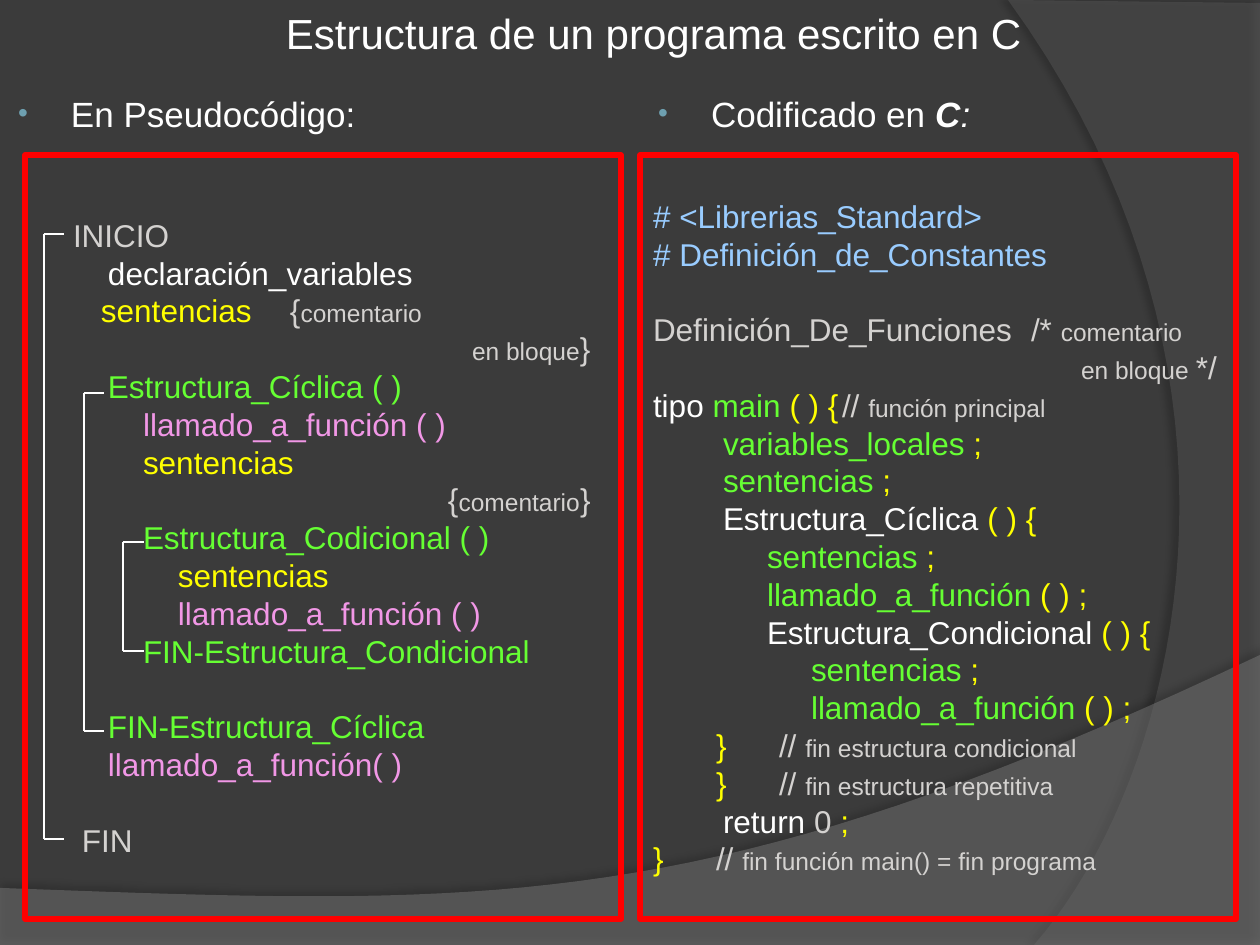
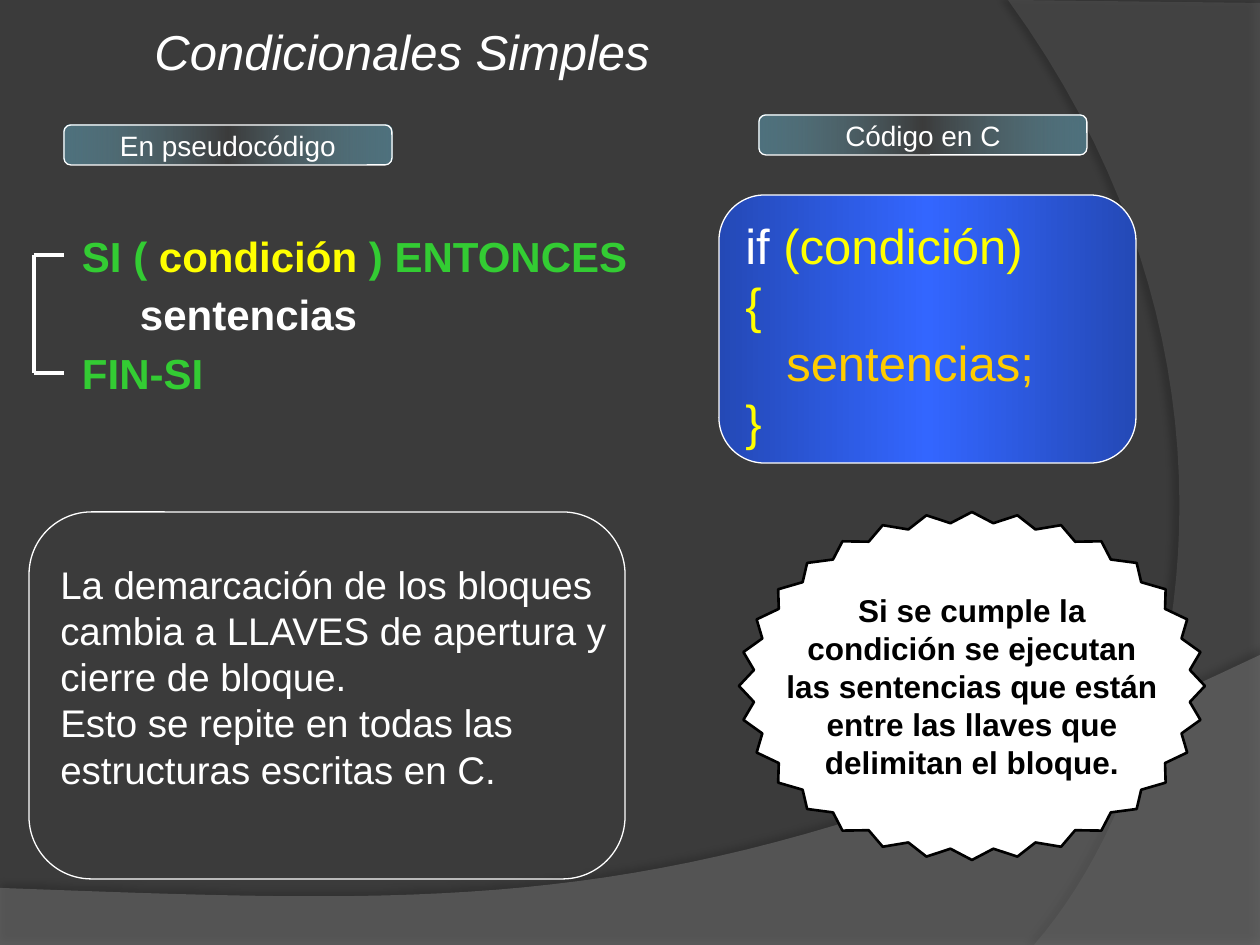
from lxml.etree import SubElement
from pptx import Presentation
from pptx.dml.color import RGBColor
from pptx.enum.shapes import MSO_CONNECTOR, MSO_SHAPE
from pptx.enum.text import MSO_ANCHOR, MSO_AUTO_SIZE, PP_ALIGN
from pptx.oxml.ns import qn
from pptx.util import Emu, Pt

LEFT, CENTER = PP_ALIGN.LEFT, PP_ALIGN.CENTER
TOP, MIDDLE = MSO_ANCHOR.TOP, MSO_ANCHOR.MIDDLE
NO_AUTOFIT = MSO_AUTO_SIZE.NONE
STRAIGHT = MSO_CONNECTOR.STRAIGHT
RECTANGLE, ROUNDED, STAR = (
    MSO_SHAPE.RECTANGLE, MSO_SHAPE.ROUNDED_RECTANGLE, MSO_SHAPE.STAR_32_POINT)

EMU_PER_PIXEL = 914400 / 126
WIDTH, HEIGHT = 1260, 945
FONT = "Arial"
WHITE, BLACK, BACKGROUND = "FFFFFF", "000000", "3B3B3B"
GREY, YELLOW, GREEN, PINK = "D4D2D0", "FFFF00", "66FF33", "F197E6"
SKY, RED, ORANGE, KEYWORD, ACCENT = "99CCFF", "FF0000", "FFCC00", "33CC33", "6EA0B0"
SMALL = {"size": Pt(14)}
STEP = 35  # indent of one pseudocode level
SPACING = 1.2  # line pitch relative to the font size
MARGINS = (13, 6, 13, 6)


def px(pixels):
    """Turn pixels into EMU."""
    return Emu(round(pixels * EMU_PER_PIXEL))


def color(value):
    """Turn a hex string into a colour."""
    return RGBColor.from_string(value)


def apply(target, values):
    """Set each attribute of a dict on the target."""
    for name, value in values.items():
        setattr(target, name, value)


def add_color(parent, value, alpha=100):
    """Append an RGB colour element with an opacity in percent."""
    element = SubElement(parent, qn("a:srgbClr"), val=value)
    if alpha < 100:
        SubElement(element, qn("a:alpha"), val=str(alpha * 1000))


def line(*runs, x=0, comment=None, before=0):
    """Describe a text line: runs at x, an optional (x, runs) comment, space before."""
    columns = [(x, runs)] + ([comment] if comment else [])
    return columns, before


def note(x, opening, text, closing=""):
    """Describe a comment column with large marks around small words."""
    runs = [(opening, GREY), (text, GREY, SMALL), (closing, GREY)]
    return x, [run for run in runs if run[0]]


def set_bullet(properties, bullet):
    """Show a small accent bullet, or none."""
    if not bullet:
        SubElement(properties, qn("a:buNone"))
        return
    add_color(SubElement(properties, qn("a:buClr")), ACCENT)
    SubElement(properties, qn("a:buSzPct"), val="80000")
    SubElement(properties, qn("a:buFont"), typeface=FONT)
    SubElement(properties, qn("a:buChar"), char="•")


def write(shape, lines, size, align=LEFT, anchor=MIDDLE, wrap=False,
          margins=MARGINS, hanging=0, bullet=False, font=None):
    """Fill a shape with lines; further columns are set with tab stops."""
    frame = shape.text_frame
    apply(frame, {"auto_size": NO_AUTOFIT, "word_wrap": wrap, "vertical_anchor": anchor})
    sides = ("margin_left", "margin_top", "margin_right", "margin_bottom")
    apply(frame, {side: px(value) for side, value in zip(sides, margins)})
    for index, (columns, before) in enumerate(lines):
        paragraph = frame.paragraphs[0] if index == 0 else frame.add_paragraph()
        apply(paragraph, {"alignment": align, "line_spacing": Pt(size * SPACING),
                          "space_before": Pt(before), "space_after": Pt(0)})
        properties = paragraph._p.get_or_add_pPr()
        tabbed = len(columns) > 1
        properties.set("marL", str(0 if tabbed else px(columns[0][0])))
        properties.set("indent", str(px(-hanging)))
        set_bullet(properties, bullet)
        if tabbed:
            stops = SubElement(properties, qn("a:tabLst"))
        for number, (x, runs) in enumerate(columns):
            if tabbed and x:
                SubElement(stops, qn("a:tab"), pos=str(px(x)), algn="l")
            for position, (text, run_color, *extra) in enumerate(runs):
                run = paragraph.add_run()
                starts_column = tabbed and x and position == 0
                run.text = "\t" + text if starts_column else text
                values = {"name": FONT, "size": Pt(size), "bold": False, "italic": False}
                for more in [font or {}, *extra]:
                    values.update(more)
                apply(run.font, values)
                run.font.color.rgb = color(run_color)


def place(shape, left, top, width, height):
    """Move and size a placeholder."""
    apply(shape, {"left": px(left), "top": px(top),
                  "width": px(width), "height": px(height)})
    return shape


def add_box(slide, kind, box, line_color=WHITE, weight=0.75, fill=None, adjustment=None):
    """Add an outlined preset shape without shadow."""
    shape = slide.shapes.add_shape(kind, *map(px, box))
    shape.shadow.inherit = False
    if fill:
        shape.fill.solid()
        shape.fill.fore_color.rgb = color(fill)
    else:
        shape.fill.background()
    shape.line.color.rgb = color(line_color)
    shape.line.width = Pt(weight)
    if adjustment:
        shape.adjustments[0] = adjustment
    return shape


def add_gradient(shape, edge, middle, middle_alpha=100):
    """Fill a shape from edge colour to middle colour and back."""
    shape.fill.gradient()
    shape.fill.gradient_angle = 0
    stops = shape.element.find(".//" + qn("a:gsLst"))
    stops.clear()
    for percent, value, alpha in ((0, edge, 100), (50, middle, middle_alpha), (100, edge, 100)):
        add_color(SubElement(stops, qn("a:gs"), pos=str(percent * 1000)), value, alpha)


def add_bracket(slide, left, right, top, bottom, weight=0.75):
    """Draw a square bracket that opens to the right."""
    for ends in ((left, top, left, bottom), (left, top, right, top),
                 (left, bottom, right, bottom)):
        connector = slide.shapes.add_connector(STRAIGHT, *map(px, ends))
        connector.line.color.rgb = color(WHITE)
        connector.line.width = Pt(weight)
        SubElement(connector.element.find(qn("p:spPr")), qn("a:effectLst"))


def curve(start, first, second, end, steps=40):
    """Return points along a cubic curve."""
    points = []
    for step in range(steps + 1):
        t = step / steps
        weights = ((1 - t) ** 3, 3 * t * (1 - t) ** 2, 3 * t * t * (1 - t), t ** 3)
        points.append(tuple(sum(w * p[axis] for w, p in zip(weights, (start, first, second, end)))
                            for axis in (0, 1)))
    return points


def add_band(presentation, slide, points, fill, alpha, shadow_alpha, distance, angle):
    """Build a translucent band and move it to the master, behind its placeholders."""
    points = [(px(x), px(y)) for x, y in points]
    builder = slide.shapes.build_freeform(*points[0], scale=1.0)
    builder.add_line_segments(points[1:], close=True)
    band = builder.convert_to_shape()
    band.fill.solid()
    band.fill.fore_color.rgb = color(fill)
    solid = band.element.find(".//" + qn("a:solidFill"))
    solid.clear()
    add_color(solid, fill, alpha)
    band.line.fill.background()
    band.shadow.inherit = False
    effects = band.element.find(".//" + qn("a:effectLst"))
    shadow = SubElement(effects, qn("a:outerShdw"), blurRad=str(Pt(4)),
                        dist=str(Pt(distance)), dir=str(angle * 60000))
    add_color(shadow, BLACK, shadow_alpha)
    tree = presentation.slide_master.shapes.element
    tree.insert(tree.index(tree.find(qn("p:sp"))), band.element)


def add_backdrop(presentation, slide):
    """Give the master its background and two bands."""
    background = presentation.slide_master.background.fill
    background.solid()
    background.fore_color.rgb = color(BACKGROUND)
    lower = curve((WIDTH, 655), (704, 919), (493, 906), (0, 888))
    right = curve((1034, HEIGHT), (1178, 780), (1283, 378), (1008, 0))
    add_band(presentation, slide, lower + [(0, HEIGHT), (WIDTH, HEIGHT)],
             "7F7F7F", 45, 35, 3.5, 270)
    add_band(presentation, slide, right + [(WIDTH, 3), (WIDTH, HEIGHT)],
             "5E5E5E", 40, 45, 4, 180)


def pseudocode():
    """Return the lines of the pseudocode program."""
    call = "llamado_a_función ( )"
    return [
        line(("INICIO", GREY), x=STEP),
        line(("declaración_variables", WHITE), x=2 * STEP),
        line(("sentencias", YELLOW), x=2 * STEP, comment=note(395, "{", "comentario")),
        line(("en bloque", GREY, SMALL), ("}", GREY), x=434),
        line(("Estructura_Cíclica ( )", GREEN), x=2 * STEP),
        line((call, PINK), x=3 * STEP),
        line(("sentencias", YELLOW), x=3 * STEP),
        line(*note(0, "{", "comentario", "}")[1], x=410),
        line(("Estructura_Codicional ( )", GREEN), x=3 * STEP),
        line(("sentencias", YELLOW), x=4 * STEP),
        line((call, PINK), x=4 * STEP),
        line(("FIN-Estructura_Condicional", GREEN), x=3 * STEP),
        line(("FIN-Estructura_Cíclica", GREEN), x=2 * STEP, before=18 * SPACING),
        line(("llamado_a_función( )", PINK), x=2 * STEP),
        line(("FIN", GREY), x=44, before=18 * SPACING),
    ]


def c_program():
    """Return the lines of the program in C."""
    levels = (0, 70, 114, 158)

    def statement(level, name, end=";", name_color=GREEN):
        return line((name + " ", name_color), (end, YELLOW), x=levels[level])

    def closing(level, x, text):
        return line(("}", YELLOW), x=levels[level], comment=note(x, "// ", text))

    return [
        line(("# <Librerias_Standard>", SKY)),
        line(("# Definición_de_Constantes", SKY)),
        line(("Definición_De_Funciones", GREY), before=18 * SPACING,
             comment=note(402, "/* ", "comentario")),
        line(("en bloque ", GREY, SMALL), ("*/", GREY), x=428),
        line(("tipo ", WHITE), ("main", GREEN), (" ( ) {", YELLOW),
             comment=note(360, "// ", "función principal")),
        statement(1, "variables_locales"),
        statement(1, "sentencias"),
        statement(1, "Estructura_Cíclica", "( ) {", WHITE),
        statement(2, "sentencias"),
        statement(2, "llamado_a_función", "( ) ;"),
        statement(2, "Estructura_Condicional", "( ) {", WHITE),
        statement(3, "sentencias"),
        statement(3, "llamado_a_función", "( ) ;"),
        closing(2, 272, "fin estructura condicional"),
        closing(1, 299, "fin estructura repetitiva"),
        line(("return ", WHITE), ("0 ", GREY), (";", YELLOW), x=levels[1]),
        closing(0, 194, "fin función main() = fin programa"),
    ]


def fill_structure(slide):
    """Fill the slide that compares whole programs."""
    title = place(slide.shapes.title, 0, 0, 1197, 66)
    write(title, [line(("Estructura de un programa escrito en C", WHITE), x=280)], 24,
          wrap=True, margins=(6, 6, 6, 6))
    slanted = {"italic": True}
    headings = ([("En Pseudocódigo:", WHITE)],
                [("Codificado en ", WHITE), ("C", WHITE, {"bold": True, **slanted}),
                 (":", WHITE, slanted)])
    columns = zip((1, 2), (0, 640), (25, 640), headings, (pseudocode(), c_program()))
    for index, heading_left, box_left, heading, program in columns:
        body = place(slide.placeholders[index], heading_left, 86, 620, 859)
        write(body, [line(*heading, x=58)], 20, anchor=TOP, wrap=True, hanging=53, bullet=True)
        box = add_box(slide, RECTANGLE, (box_left, 155, 596, 764), RED, 3)
        write(box, program, 18)
    for bracket in ((44, 64, 234, 839), (84, 104, 393, 731), (123, 144, 542, 651)):
        add_bracket(slide, *bracket)


def fill_conditionals(slide):
    """Fill the slide on simple conditionals."""
    title = place(slide.shapes.title, 64, 26, 676, 49)
    write(title, [line(("Condicionales Simples", WHITE))], 28, align=CENTER, wrap=True,
          margins=(13, 0, 13, 0), font={"italic": True})
    body = place(slide.placeholders[1], 64, 224, 586, 198)
    write(body, [line(("SI ( ", KEYWORD), ("condición ", YELLOW), (") ENTONCES", KEYWORD), x=5),
                 line(("sentencias", WHITE), x=63, before=4.8),
                 line(("FIN-SI", KEYWORD), x=5, before=4.8)],
          24, anchor=TOP, wrap=True, font={"bold": True})
    for left, top, text in ((64, 125, "En pseudocódigo"), (759, 115, "Código en C")):
        label = add_box(slide, ROUNDED, (left, top, 328, 40), adjustment=0.17)
        add_gradient(label, "4F727E", ACCENT, 0)
        write(label, [line((text, WHITE))], 16, align=CENTER, margins=(13, 0, 13, 0))
    add_bracket(slide, 34, 64, 255, 373, 2.25)

    star = add_box(slide, STAR, (739, 512, 466, 348), BLACK, 1.5, WHITE, 0.47)
    advice = ("Si se cumple la", "condición se ejecutan", "las sentencias que están",
              "entre las llaves que", "delimitan el bloque.")
    write(star, [line((text, BLACK)) for text in advice], 18, align=CENTER, font={"bold": True})

    remark = add_box(slide, ROUNDED, (29, 512, 596, 367), adjustment=0.17)
    sentences = ("La demarcación de los bloques", "cambia a LLAVES de apertura y",
                 "cierre de bloque.", "Esto se repite en todas las", "estructuras escritas en C.")
    write(remark, [line((text, WHITE)) for text in sentences], 22, margins=(13, 6, 13, 44))

    code = add_box(slide, ROUNDED, (719, 195, 417, 268), adjustment=0.17)
    add_gradient(code, "2449B6", "3366FF")
    write(code, [line(("if ", WHITE), ("(condición)", YELLOW)), line(("{", YELLOW)),
                 line(("sentencias;", ORANGE), x=41), line(("}", YELLOW))],
          28, margins=(13, 8, 13, 0))


def main():
    """Build both slides and save them."""
    presentation = Presentation()
    presentation.slide_width, presentation.slide_height = px(WIDTH), px(HEIGHT)
    structure = presentation.slides.add_slide(presentation.slide_layouts[3])
    conditionals = presentation.slides.add_slide(presentation.slide_layouts[1])
    add_backdrop(presentation, structure)
    fill_structure(structure)
    fill_conditionals(conditionals)
    presentation.save("out.pptx")


main()
